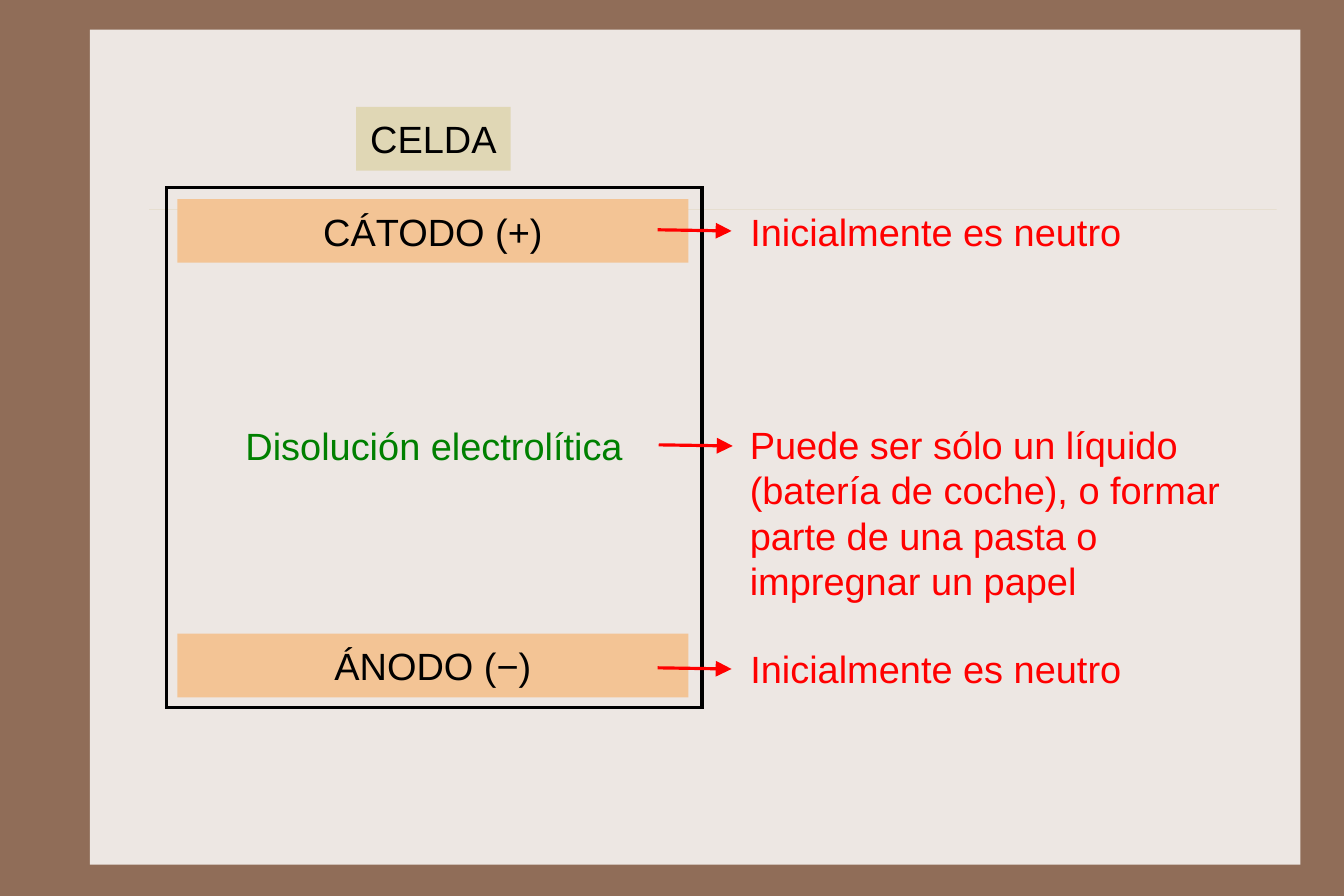
from dataclasses import dataclass
from typing import Optional

from lxml.etree import SubElement
from pptx import Presentation
from pptx.dml.color import RGBColor
from pptx.enum.shapes import MSO_CONNECTOR, MSO_SHAPE
from pptx.enum.text import MSO_ANCHOR, PP_ALIGN
from pptx.oxml.ns import qn
from pptx.util import Inches, Pt

COLORS = {
    "brown": "906D58",
    "panel": "EDE7E3",
    "rule": "CBBD83",
    "electrode": "F3C495",
    "label": "E0D7B5",
    "black": "000000",
    "green": "008000",
    "red": "FF0000",
}
SIZE = {"slide_width": Inches(189 / 16), "slide_height": Inches(63 / 8)}
FRAME = {
    "margin_left": Inches(0.12),
    "margin_right": Inches(0.12),
    "margin_top": Inches(0.08),
    "margin_bottom": Inches(0.08),
    "vertical_anchor": MSO_ANCHOR.MIDDLE,
}
FONT = {"name": "Arial", "size": Pt(24)}
ARROWHEAD = {"type": "triangle", "w": "lg", "len": "lg"}


@dataclass
class Box:
    x: float
    y: float
    w: float
    h: float = 0.56
    text: str = ""
    fill: Optional[str] = None
    line: Optional[str] = None
    color: str = "black"
    align: PP_ALIGN = PP_ALIGN.CENTER
    wrap: bool = True


@dataclass
class Line:
    x1: float
    y1: float
    x2: float
    y2: float
    color: str = "red"
    width: float = 2
    arrow: bool = True
    opacity: int = 100


def rgb(name: str) -> RGBColor:
    return RGBColor.from_string(COLORS[name])


def set_all(target: object, values: dict) -> None:
    for key, value in values.items():
        setattr(target, key, value)


def add_box(s, box: Box) -> None:
    at = [Inches(v) for v in (box.x, box.y, box.w, box.h)]
    if box.fill or box.line:
        sp = s.shapes.add_shape(MSO_SHAPE.RECTANGLE, *at)
        sp.shadow.inherit = False
    else:
        sp = s.shapes.add_textbox(*at)
    if box.fill:
        sp.fill.solid()
        sp.fill.fore_color.rgb = rgb(box.fill)
    else:
        sp.fill.background()
    if box.line:
        sp.line.color.rgb = rgb(box.line)
        sp.line.width = Pt(2)
        SubElement(sp.line._get_or_add_ln(), qn("a:miter"), lim="800000")
    else:
        sp.line.fill.background()
    if box.text:
        tf = sp.text_frame
        set_all(tf, {**FRAME, "word_wrap": box.wrap})
        p = tf.paragraphs[0]
        p.alignment = box.align
        r = p.add_run()
        r.text = box.text
        set_all(r.font, FONT)
        r.font.color.rgb = rgb(box.color)


def add_line(s, line: Line) -> None:
    ends = [Inches(v) for v in (line.x1, line.y1, line.x2, line.y2)]
    cxn = s.shapes.add_connector(MSO_CONNECTOR.STRAIGHT, *ends)
    cxn.line.color.rgb = rgb(line.color)
    cxn.line.width = Pt(line.width)
    ln = cxn.line._get_or_add_ln()
    if line.opacity < 100:
        clr = ln.find(".//" + qn("a:srgbClr"))
        SubElement(clr, qn("a:alpha"), val=str(line.opacity * 1000))
    if line.arrow:
        SubElement(ln, qn("a:tailEnd"), **ARROWHEAD)
    SubElement(cxn._element.spPr, qn("a:effectLst"))


def main() -> None:
    prs = Presentation()
    set_all(prs, SIZE)
    s = prs.slides.add_slide(prs.slide_layouts[6])
    s.background.fill.solid()
    s.background.fill.fore_color.rgb = rgb("brown")

    add_box(s, Box(0.79, 0.26, 10.64, 7.34, fill="panel"))
    add_line(s, Line(1.31, 1.84, 11.22, 1.84, "rule", 0.25, False, 30))

    cell = [
        Box(1.56, 1.75, 4.49, text="CÁTODO (+)", fill="electrode"),
        Box(1.56, 5.57, 4.49, text="ÁNODO (−)", fill="electrode"),
        Box(1.98, 3.63, 3.67, text="Disolución electrolítica", color="green"),
        Box(1.46, 1.65, 4.71, 4.57, line="black"),
        Box(3.13, 0.94, 1.36, text="CELDA", fill="label", wrap=False),
    ]
    solution = (
        "Puede ser sólo un líquido (batería de coche), "
        "o formar parte de una pasta o impregnar un papel"
    )
    notes = [
        Box(6.47, 3.62, 4.43, 1.77, solution, color="red", align=PP_ALIGN.LEFT)
    ] + [
        Box(6.3, y, 3.85, text="Inicialmente es neutro", color="red")
        for y in (1.75, 5.59)
    ]
    for box in cell + notes:
        add_box(s, box)
    for x, y in ((5.79, 3.91), (5.78, 2.02), (5.78, 5.87)):
        add_line(s, Line(x, y, x + 0.65, y + 0.01))

    prs.save("out.pptx")


if __name__ == "__main__":
    main()
